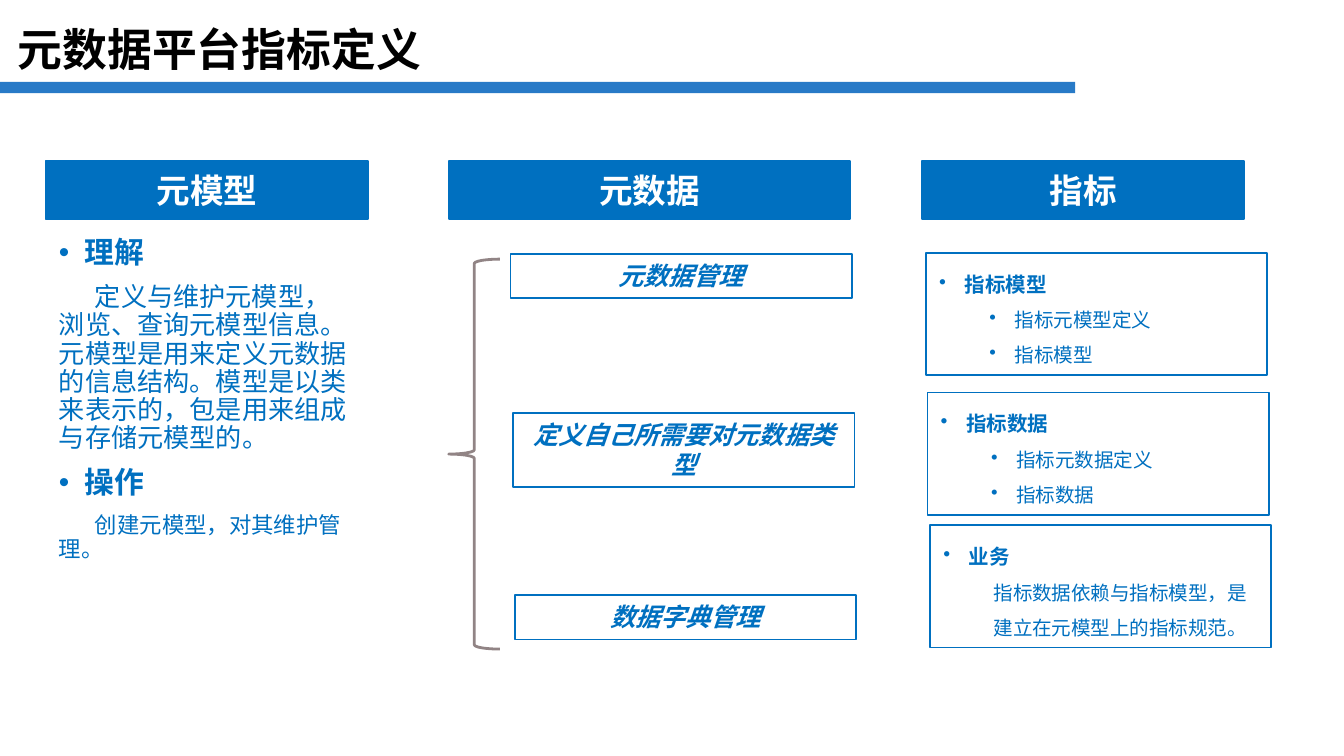
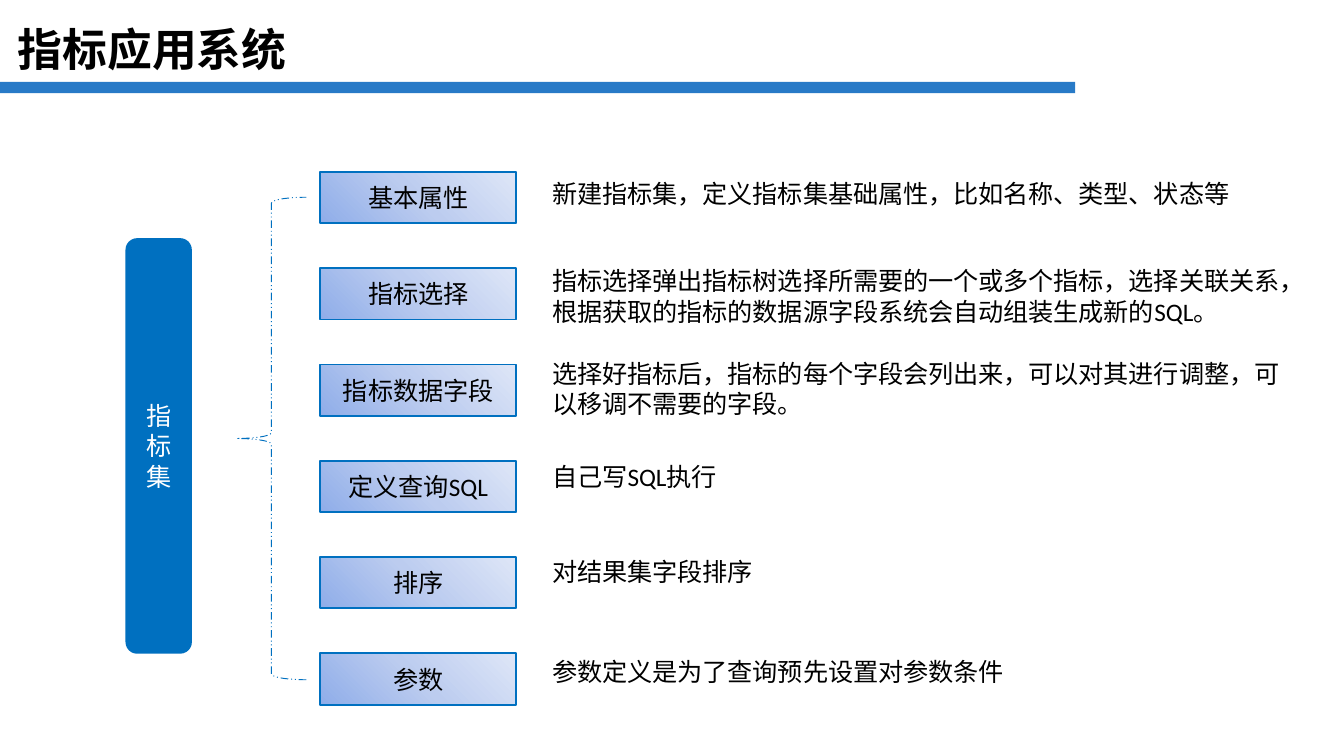
import copy

import pptx
import pptx.dml.color
import pptx.enum.dml
import pptx.enum.shapes
import pptx.enum.text
import pptx.oxml
import pptx.oxml.ns
import pptx.util

Cm, Pt = pptx.util.Cm, pptx.util.Pt
qn = pptx.oxml.ns.qn
SHAPE = pptx.enum.shapes.MSO_SHAPE
ALIGN = pptx.enum.text.PP_ALIGN
ANCHOR = pptx.enum.text.MSO_ANCHOR
AUTO = pptx.enum.text.MSO_AUTO_SIZE


class Deck:
    colors = {
        "blue": "0070C0", "band": "287AC7", "brace": "918485",
        "white": "FFFFFF", "black": "000000",
    }
    gradient = [(0, "8FADE9"), (0.5, "BCCCEF"), (1, "DEE6F7")]
    east_asian = "Noto Sans CJK SC"

    def __init__(self):
        self.prs = pptx.Presentation()
        self.prs.slide_width, self.prs.slide_height = Cm(25.4), Cm(14.29)
        self.s = None

    def rgb(self, name):
        return pptx.dml.color.RGBColor.from_string(self.colors[name])

    def new_slide(self, title, layout):
        self.s = self.prs.slides.add_slide(self.prs.slide_layouts[layout])
        self.shape(SHAPE.RECTANGLE, 0, 1.55, 20.32, 0.21, fill="band")
        sp = self.s.shapes.title
        self.place(sp, 0.08, 0.33, 11.48, 1.32)
        self.frame(sp, ANCHOR.MIDDLE)
        self.paragraph(sp.text_frame, title, 24, "black", self.east_asian,
                       bold=True, spacing=0.9)

    def place(self, sp, x, y, w, h):
        sp.left, sp.top, sp.width, sp.height = Cm(x), Cm(y), Cm(w), Cm(h)

    def frame(self, sp, anchor=ANCHOR.TOP, auto=AUTO.NONE):
        tf = sp.text_frame
        tf.word_wrap = True
        tf.auto_size = auto
        tf.vertical_anchor = anchor
        return tf

    def paragraph(self, tf, text, size, color, font="Calibri", bold=False,
                  italic=False, align=ALIGN.LEFT, spacing=1.0, before=0,
                  level=0, margin=0, indent=0, bullet=False):
        p = tf.paragraphs[0]
        if p.runs:
            p = tf.add_paragraph()
        p.add_run().text = text
        p.alignment, p.level = align, level
        p.line_spacing, p.space_before = spacing, Pt(before)
        f = p.font
        f.size, f.bold, f.italic, f.name = Pt(size), bold, italic, font
        f.color.rgb = self.rgb(color)
        pPr = p._p.get_or_add_pPr()
        pPr.set("marL", str(Cm(margin)))
        pPr.set("indent", str(Cm(indent)))
        mark = pptx.oxml.parse_xml(
            '<a:%s xmlns:a="http://schemas.openxmlformats.org/drawingml/2006/main"/>'
            % ("buChar" if bullet else "buNone"))
        if bullet:
            mark.set("char", "•")
        pPr.insert_element_before(mark, "a:tabLst", "a:defRPr", "a:extLst")
        latin = pPr.find(".//" + qn("a:latin"))
        ea = copy.deepcopy(latin)
        ea.tag = qn("a:ea")
        ea.set("typeface", self.east_asian)
        latin.addnext(ea)

    def shape(self, kind, x, y, w, h, fill=None, line=None, width=1, dash=None):
        sp = self.s.shapes.add_shape(kind, Cm(x), Cm(y), Cm(w), Cm(h))
        sp.shadow.inherit = False
        if fill:
            sp.fill.solid()
            sp.fill.fore_color.rgb = self.rgb(fill)
        else:
            sp.fill.background()
        if line:
            sp.line.color.rgb = self.rgb(line)
            sp.line.width = Pt(width)
            if dash:
                sp.line.dash_style = dash
        else:
            sp.line.fill.background()
        return sp

    def header(self, text, x, w):
        sp = self.shape(SHAPE.RECTANGLE, x, 3.05, w, 1.09, "blue", "blue")
        self.paragraph(self.frame(sp, ANCHOR.MIDDLE), text, 18, "white",
                       bold=True, align=ALIGN.CENTER)

    def box(self, x, y, h):
        sp = self.shape(SHAPE.RECTANGLE, x, y, 6.45, h, "white", "blue")
        return self.frame(sp, auto=AUTO.SHAPE_TO_FIT_TEXT)

    def topic(self, text, x, y, h):
        self.paragraph(self.box(x, y, h), text, 13.5, "blue", "Arial",
                       bold=True, italic=True, align=ALIGN.CENTER)

    def indicator(self, head, items, bullet, x, y):
        tf = self.box(x, y, 2.31)
        self.paragraph(tf, head, 11, "blue", "Arial", bold=True, spacing=1.5,
                       margin=0.48, indent=-0.48, bullet=True)
        margin, indent = (1.43, -0.48) if bullet else (0.95, 0)
        for item in items:
            self.paragraph(tf, item, 10.5, "blue", "Arial", spacing=1.5,
                           level=1, margin=margin, indent=indent, bullet=bullet)

    def body(self, sections, x, y, w, h):
        sp = self.s.placeholders[1]
        self.place(sp, x, y, w, h)
        tf = self.frame(sp)
        for head, text, size in sections:
            self.paragraph(tf, head, 16, "blue", bold=True, spacing=0.9,
                           before=7.5, margin=0.48, indent=-0.48, bullet=True)
            self.paragraph(tf, text, size, "blue", spacing=0.9,
                           before=7.5, indent=0.68)

    def root(self, text, x, y, w, h):
        sp = self.shape(SHAPE.ROUNDED_RECTANGLE, x, y, w, h, "blue", "blue")
        self.paragraph(self.frame(sp, ANCHOR.MIDDLE), text, 13.5, "white",
                       align=ALIGN.CENTER)

    def button(self, text, x, y):
        sp = self.shape(SHAPE.RECTANGLE, x, y, 3.71, 0.97, line="blue")
        sp.fill.gradient()
        sp.fill.gradient_angle = 45
        first = sp._element.spPr.find(".//" + qn("a:gs"))
        first.addnext(copy.deepcopy(first))
        for stop, (position, color) in zip(sp.fill.gradient_stops, self.gradient):
            stop.position = position
            stop.color.rgb = pptx.dml.color.RGBColor.from_string(color)
        self.paragraph(self.frame(sp, ANCHOR.MIDDLE), text, 13.5, "black",
                       align=ALIGN.CENTER)

    def note(self, text, x, y, h):
        sp = self.s.shapes.add_textbox(Cm(x), Cm(y), Cm(14.45), Cm(h))
        self.paragraph(self.frame(sp, auto=AUTO.SHAPE_TO_FIT_TEXT), text,
                       13.5, "black")


deck = Deck()

deck.new_slide("元数据平台指标定义", 1)
deck.body([
    ("理解", "定义与维护元模型，浏览、查询元模型信息。 元模型是用来定义元数据的信息结构。"
     "模型是以类来表示的，包是用来组成与存储元模型的。", 14),
    ("操作", "创建元模型，对其维护管理。", 12),
], 0.86, 4.37, 6.1, 9.19)
for text, x, w in [("元模型", 0.86, 6.1), ("元数据", 8.48, 7.59), ("指标", 17.42, 6.1)]:
    deck.header(text, x, w)
deck.shape(SHAPE.LEFT_BRACE, 8.48, 4.9, 0.97, 7.37, line="brace", width=1.5)
for text, x, y, h in [
    ("元数据管理", 9.65, 4.8, 0.84),
    ("定义自己所需要对元数据类型", 9.7, 7.8, 1.4),
    ("数据字典管理", 9.73, 11.25, 0.84),
]:
    deck.topic(text, x, y, h)
for head, items, bullet, x, y in [
    ("指标模型", ["指标元模型定义", "指标模型"], True, 17.5, 4.78),
    ("指标数据", ["指标元数据定义", "指标数据"], True, 17.53, 7.42),
    ("业务", ["指标数据依赖与指标模型，是建立在元模型上的指标规范。"], False, 17.58, 9.93),
]:
    deck.indicator(head, items, bullet, x, y)

deck.new_slide("指标应用系统", 5)
deck.root("指标集", 2.39, 4.52, 1.22, 7.82)
brace = deck.shape(SHAPE.LEFT_BRACE, 4.47, 3.73, 1.32, 9.12, line="blue", width=0.5,
                   dash=pptx.enum.dml.MSO_LINE.DASH_DOT_DOT)
brace.adjustments[1] = 0.5
steps = [
    ("基本属性", "新建指标集，定义指标集基础属性，比如名称、类型、状态等", 3.25, 0.84),
    ("指标选择", "指标选择弹出指标树选择所需要的一个或多个指标，选择关联关系，"
     "根据获取的指标的数据源字段系统会自动组装生成新的SQL。", 4.9, 1.4),
    ("指标数据字段", "选择好指标后，指标的每个字段会列出来，可以对其进行调整，"
     "可以移调不需要的字段。", 6.65, 1.4),
    ("定义查询SQL", "自己写SQL执行", 8.59, 0.84),
    ("排序", "对结果集字段排序", 10.39, 0.84),
    ("参数", "参数定义是为了查询预先设置对参数条件", 12.29, 0.84),
]
for i, (name, text, y, h) in enumerate(steps):
    deck.button(name, 6.05, 3.25 + 1.82 * i)
    deck.note(text, 10.19, y, h)

deck.prs.save("out.pptx")
